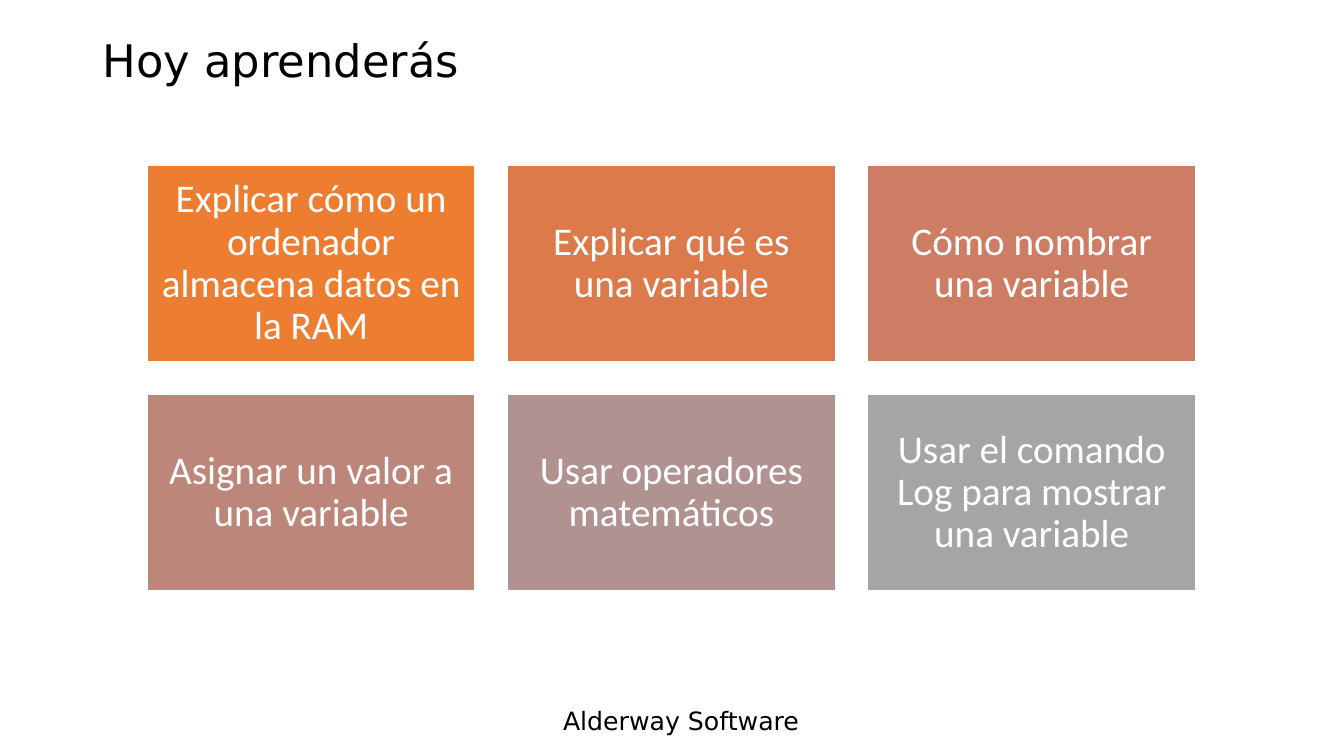
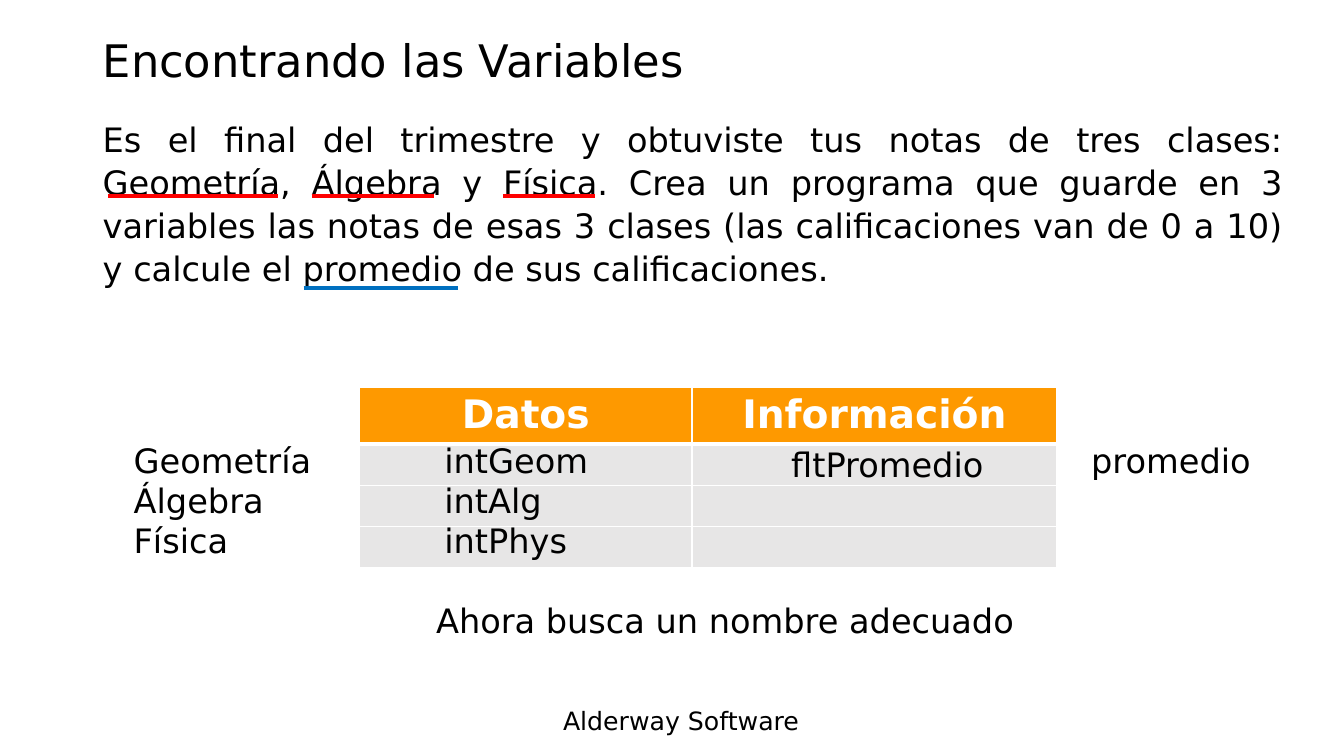
from pptx import Presentation
from pptx.dml.color import RGBColor
from pptx.enum.shapes import MSO_CONNECTOR, MSO_SHAPE
from pptx.enum.text import MSO_ANCHOR, PP_ALIGN
from pptx.util import Cm, Pt
from lxml.etree import SubElement
from pptx.oxml import parse_xml
from pptx.oxml.ns import nsdecls, qn

# Colours and text styles
BLACK = RGBColor(0x00, 0x00, 0x00)
WHITE = RGBColor(0xFF, 0xFF, 0xFF)
AMBER = RGBColor(0xFE, 0x99, 0x00)
PALE = RGBColor(0xE7, 0xE6, 0xE6)
RED = RGBColor(0xFF, 0x00, 0x00)
BLUE = RGBColor(0x00, 0x70, 0xC0)

SANS = "DejaVu Sans"
TITLE = {"name": SANS, "size": Pt(32)}
FOOT = {"name": SANS, "size": Pt(18)}
BODY = {"name": SANS, "size": Pt(24)}
HEAD = {"name": SANS, "size": Pt(28), "bold": True}
CARD = {"name": "Calibri", "size": Pt(28)}

# Content; boxes are left, top, width, height in cm
FOOTER = "Alderway Software"
TITLES = ["Hoy aprenderás", "Encontrando las Variables"]
CARDS = [
    ("Explicar cómo un ordenador almacena datos en la RAM", RGBColor(0xED, 0x7D, 0x31)),
    ("Explicar qué es una variable", RGBColor(0xDC, 0x7A, 0x4B)),
    ("Cómo nombrar una variable", RGBColor(0xCC, 0x7D, 0x64)),
    ("Asignar un valor a una variable", RGBColor(0xBD, 0x86, 0x7B)),
    ("Usar operadores matemáticos", RGBColor(0xB0, 0x93, 0x91)),
    ("Usar el comando Log para mostrar una variable", RGBColor(0xA5, 0xA5, 0xA5)),
]
TASK = (
    "Es el final del trimestre y obtuviste tus notas de tres clases: "
    "Geometría, Álgebra y Física. Crea un programa que guarde en 3 "
    "variables las notas de esas 3 clases (las calificaciones van de 0 a 10) "
    "y calcule el promedio de sus calificaciones."
)
HEADS = ["Datos", "Información"]
NOTES = [
    (["Geometría", "Álgebra", "Física"], (3.12, 10.95, 5.94, 3.33)),
    (["promedio"], (27.25, 10.95, 4.98, 1.27)),
    (["intGeom", "intAlg", "intPhys"], (10.95, 10.95, 5.18, 3.33)),
    (["fltPromedio"], (19.69, 11.05, 5.54, 1.27)),
    (["Ahora busca un nombre adecuado"], (10.74, 14.99, 15.21, 1.27)),
]
# Underlines: start, end, height, colour
MARKS = [
    (2.72, 7.01, 4.93, RED),
    (7.87, 10.95, 4.93, RED),
    (12.67, 14.99, 4.93, RED),
    (7.65, 11.53, 7.26, BLUE),
]


def write(frame, lines, style, color=BLACK, **para):
    """Fill a text frame, one paragraph a line."""
    frame.word_wrap = True
    for i, line in enumerate(lines):
        p = frame.add_paragraph() if i else frame.paragraphs[0]
        for key, value in para.items():
            setattr(p, key, value)
        run = p.add_run()
        run.text = line
        for key, value in style.items():
            setattr(run.font, key, value)
        run.font.color.rgb = color


def add_text(slide, lines, box, style, **para):
    frame = slide.shapes.add_textbox(*map(Cm, box)).text_frame
    write(frame, lines, style, **para)
    return frame


def add_page(deck, title):
    """Blank slide with the shared title and footer."""
    slide = deck.slides.add_slide(deck.slide_layouts[6])
    add_text(slide, [FOOTER], (13.94, 17.65, 7.37, 1.02), FOOT)
    frame = add_text(slide, [title], (2.34, 0.38, 29.21, 2.41), TITLE, line_spacing=0.9)
    frame.vertical_anchor = MSO_ANCHOR.MIDDLE
    return slide


def add_cards(slide):
    left, top, wide, high, gap = 3.71, 4.17, 8.26, 4.95, 0.82
    for i, (text, color) in enumerate(CARDS):
        row, col = divmod(i, 3)
        box = (left + col * (wide + gap), top + row * (high + gap), wide, high)
        card = slide.shapes.add_shape(MSO_SHAPE.RECTANGLE, *map(Cm, box))
        card.shadow.inherit = False
        card.fill.solid()
        card.fill.fore_color.rgb = color
        card.line.color.rgb = WHITE
        card.line.width = Pt(1)
        frame = card.text_frame
        frame.vertical_anchor = MSO_ANCHOR.MIDDLE
        for side in ("left", "top", "right", "bottom"):
            setattr(frame, f"margin_{side}", Cm(0.3))
        write(frame, [text], CARD, WHITE, alignment=PP_ALIGN.CENTER, line_spacing=0.9)


def set_edges(cell, edges):
    """White cell borders, widths in points by side."""
    props = cell._tc.get_or_add_tcPr()
    for i, (side, width) in enumerate(edges.items()):
        props.insert(i, parse_xml(
            f'<a:ln{side} {nsdecls("a")} w="{Pt(width)}"><a:solidFill>'
            f'<a:srgbClr val="{WHITE}"/></a:solidFill></a:ln{side}>'))


def add_grid(slide):
    widths, heights = [8.38, 9.19], [1.4, 1.04, 1.04, 1.04]
    box = (9.06, 9.75, sum(widths), sum(heights))
    table = slide.shapes.add_table(len(heights), len(widths), *map(Cm, box)).table
    for col, width in zip(table.columns, widths):
        col.width = Cm(width)
    for r, (row, height) in enumerate(zip(table.rows, heights)):
        row.height = Cm(height)
        for c, cell in enumerate(row.cells):
            cell.fill.solid()
            cell.fill.fore_color.rgb = PALE if r else AMBER
            set_edges(cell, {"L": 1, "R": 1, "T": 3 if r == 1 else 1, "B": 1 if r else 3})
            if r == 0:
                write(cell.text_frame, [HEADS[c]], HEAD, WHITE, alignment=PP_ALIGN.CENTER)


def add_mark(slide, start, end, y, color):
    ends = map(Cm, (start, y, end, y))
    mark = slide.shapes.add_connector(MSO_CONNECTOR.STRAIGHT, *ends)
    mark.line.color.rgb = color
    mark.line.width = Pt(3)
    SubElement(mark._element.spPr, qn("a:effectLst"))


def main():
    deck = Presentation()
    deck.slide_width, deck.slide_height = Cm(33.87), Cm(19.05)
    goals, task = [add_page(deck, title) for title in TITLES]

    # Goals
    add_cards(goals)

    # Task with its table, notes and underlines
    add_text(task, [TASK], (2.34, 2.79, 30.25, 4.55), BODY,
             alignment=PP_ALIGN.JUSTIFY, line_spacing=1.07, space_after=Pt(8))
    add_grid(task)
    for lines, box in NOTES:
        add_text(task, lines, box, BODY)
    for mark in MARKS:
        add_mark(task, *mark)

    deck.save("out.pptx")


if __name__ == "__main__":
    main()
